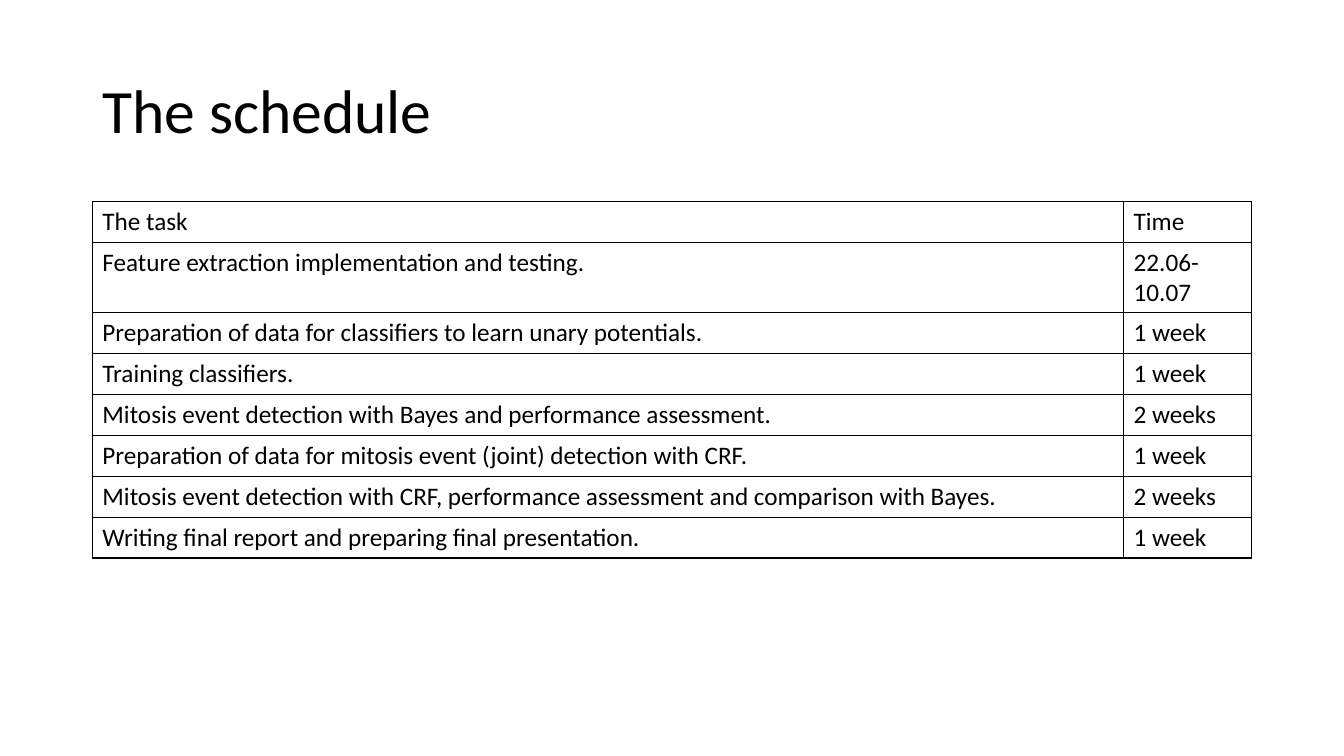
from pptx import Presentation
from pptx.dml.color import RGBColor
from pptx.enum.text import MSO_ANCHOR as Anchor
from pptx.oxml import parse_xml
from pptx.oxml.ns import nsdecls
from pptx.util import Pt

BLACK = RGBColor(0x00, 0x00, 0x00)
FONT = "Calibri"
LINE = 1  # border width in points
TIME = 91.4  # width of the time column
ROW = 29.2

TASKS = [
    ("The task", "Time"),
    ("Feature extraction implementation and testing.", "22.06-10.07"),
    ("Preparation of data for classifiers to learn unary potentials.", "1 week"),
    ("Training classifiers.", "1 week"),
    ("Mitosis event detection with Bayes and performance assessment.", "2 weeks"),
    ("Preparation of data for mitosis event (joint) detection with CRF.", "1 week"),
    ("Mitosis event detection with CRF, performance assessment and "
     "comparison with Bayes.", "2 weeks"),
    ("Writing final report and preparing final presentation.", "1 week"),
]


def add_run(para, text, size):
    run = para.add_run()
    run.text = text
    run.font.name = FONT
    run.font.size = Pt(size)
    run.font.color.rgb = BLACK


def add_title(slide, left, top, width, height):
    box = slide.shapes.add_textbox(Pt(left), Pt(top), Pt(width), Pt(height))
    frame = box.text_frame
    frame.word_wrap = True
    frame.vertical_anchor = Anchor.MIDDLE
    para = frame.paragraphs[0]
    para.line_spacing = 0.9
    add_run(para, "The schedule", 44)


def set_border(cell):
    props = cell._tc.get_or_add_tcPr()
    # Borders come before the fill in the cell properties
    for spot, side in enumerate(("lnL", "lnR", "lnT", "lnB")):
        props.insert(spot, parse_xml(
            f'<a:{side} {nsdecls("a")} w="{Pt(LINE)}"><a:solidFill>'
            f'<a:srgbClr val="{BLACK}"/></a:solidFill></a:{side}>'))


def add_plan(slide, left, top, width):
    frame = slide.shapes.add_table(len(TASKS), 2, Pt(left), Pt(top),
                                   Pt(width), Pt(ROW * len(TASKS)))
    table = frame.table
    table.first_row = False
    table.horz_banding = False
    table.columns[0].width = Pt(width - TIME)
    table.columns[1].width = Pt(TIME)
    for row, texts in zip(table.rows, TASKS):
        row.height = Pt(ROW)
        for cell, text in zip(row.cells, texts):
            cell.fill.background()
            set_border(cell)
            add_run(cell.text_frame.paragraphs[0], text, 18)


def main():
    deck = Presentation()
    deck.slide_width, deck.slide_height = Pt(960), Pt(540)
    slide = deck.slides.add_slide(deck.slide_layouts[6])
    # Title above, table below, on one left edge
    add_title(slide, 66, 28.75, 828, 104.4)
    add_plan(slide, 66, 143.75, 828)
    deck.save("out.pptx")


if __name__ == "__main__":
    main()
